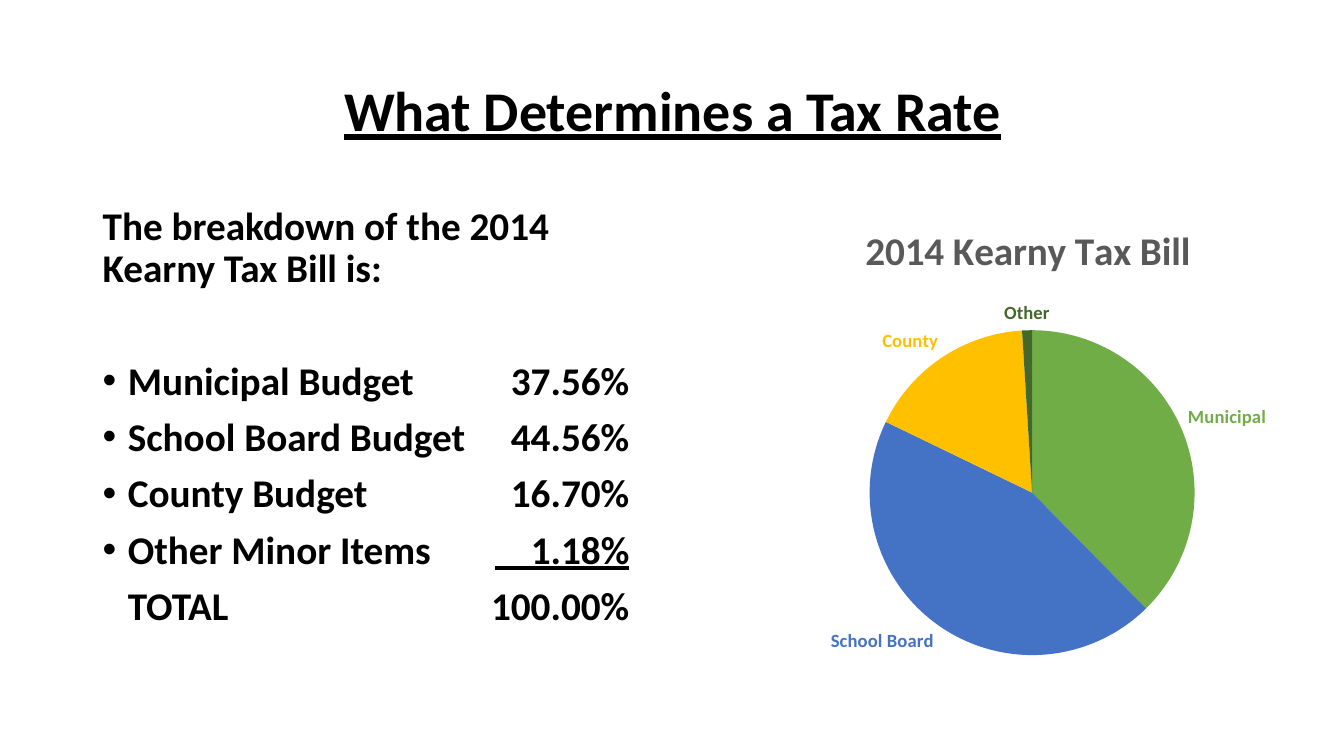
import pptx
import pptx.chart.data
import pptx.dml.color
import pptx.enum.chart
import pptx.enum.text
import pptx.oxml
import pptx.oxml.ns
import pptx.util
from pptx.util import Inches

FONT = "Calibri"
BUDGETS = [
    ("Municipal Budget", "Municipal", 37.56, "70AD47"),
    ("School Board Budget", "School Board", 44.56, "4472C4"),
    ("County Budget", "County", 16.70, "FFC000"),
    ("Other Minor Items", "Other", 1.18, "43682B"),
]
CHART_TITLE = "2014 Kearny Tax Bill"


def color(hex_string):
    return pptx.dml.color.RGBColor.from_string(hex_string)


class TaxSlide:
    """Holds the text style and the current slide."""

    def __init__(self, presentation):
        self.slide = presentation.slides.add_slide(presentation.slide_layouts[5])

    def style(self, font, size, hex_string="000000"):
        font.name = FONT
        font.size = pptx.util.Pt(size)
        font.bold = True
        font.color.rgb = color(hex_string)

    def title(self, text, left, top, width, height):
        heading = self.slide.shapes.title
        heading.left, heading.top = Inches(left), Inches(top)
        heading.width, heading.height = Inches(width), Inches(height)
        frame = heading.text_frame
        frame.text = text
        frame.vertical_anchor = pptx.enum.text.MSO_ANCHOR.MIDDLE
        line = frame.paragraphs[0]
        line.alignment = pptx.enum.text.PP_ALIGN.CENTER
        line.line_spacing = 0.9
        self.style(line.runs[0].font, 40)
        line.runs[0].font.underline = True

    def text_box(self, left, top, width, height):
        box = self.slide.shapes.add_textbox(
            Inches(left), Inches(top), Inches(width), Inches(height))
        box.text_frame.word_wrap = True
        return box.text_frame

    def line(self, paragraph, texts, space_before=10):
        paragraph.line_spacing = 0.9
        paragraph.space_before = pptx.util.Pt(space_before)
        for text in texts:
            run = paragraph.add_run()
            run.text = text
            self.style(run.font, 28)

    def indent(self, paragraph, right_edge, bullet=True):
        properties = paragraph._p.get_or_add_pPr()
        properties.set("marL", str(Inches(0.25)))
        namespace = pptx.oxml.ns.nsdecls("a")
        if bullet:
            properties.set("indent", str(Inches(-0.25)))
            properties.append(pptx.oxml.parse_xml(f'<a:buFont {namespace} typeface="Arial"/>'))
            properties.append(pptx.oxml.parse_xml(f'<a:buChar {namespace} char="•"/>'))
        properties.append(pptx.oxml.parse_xml(
            f'<a:tabLst {namespace}><a:tab pos="{Inches(right_edge)}" algn="r"/></a:tabLst>'))

    def pie(self, left, top, width, height):
        data = pptx.chart.data.CategoryChartData()
        data.categories = [category for _, category, _, _ in BUDGETS]
        data.add_series(CHART_TITLE, [round(share) for _, _, share, _ in BUDGETS])
        chart = self.slide.shapes.add_chart(
            pptx.enum.chart.XL_CHART_TYPE.PIE,
            Inches(left), Inches(top), Inches(width), Inches(height), data).chart
        chart.font.name = FONT
        chart.font.size = pptx.util.Pt(10)
        chart.has_legend = False
        chart.has_title = True
        chart.chart_title.text_frame.text = CHART_TITLE
        chart.chart_title.include_in_layout = False
        self.style(chart.chart_title.text_frame.paragraphs[0].runs[0].font, 28, "595959")
        plot = chart.plots[0]
        plot.vary_by_categories = True
        labels = plot.series[0].data_labels
        labels.show_value = False
        labels.show_category_name = True
        labels.position = pptx.enum.chart.XL_LABEL_POSITION.OUTSIDE_END
        for index, (_, _, _, hue) in enumerate(BUDGETS):
            point = plot.series[0].points[index]
            point.format.fill.solid()
            point.format.fill.fore_color.rgb = color(hue)
            self.style(point.data_label.font, 13.3, hue)
            point.data_label.position = pptx.enum.chart.XL_LABEL_POSITION.OUTSIDE_END
            label = point.data_label._dLbl
            label.find(pptx.oxml.ns.qn("c:showVal")).set("val", "0")
            label.find(pptx.oxml.ns.qn("c:showCatName")).set("val", "1")


def main():
    presentation = pptx.Presentation()
    presentation.slide_width = Inches(13.33)
    presentation.slide_height = Inches(7.5)
    tax = TaxSlide(presentation)
    tax.title("What Determines a Tax Rate", 0.92, 0.4, 11.5, 1.45)

    breakdown = tax.text_box(0.92, 2, 5.67, 4.76)
    tax.line(breakdown.paragraphs[0], ["The breakdown of the 2014 Kearny Tax Bill is:"], 0)
    right_edge = 5.37
    for index, (budget, _, share, _) in enumerate(BUDGETS):
        row = breakdown.add_paragraph()
        last = index == len(BUDGETS) - 1
        amount = f"{share:.2f}%"
        tax.line(row, [f"{budget}\t", f"{amount:>9}" if last else amount],
                 50 if index == 0 else 10)
        tax.indent(row, right_edge)
        row.runs[-1].font.underline = last
    total = breakdown.add_paragraph()
    tax.line(total, [f"TOTAL\t{sum(share for _, _, share, _ in BUDGETS):.2f}%"])
    tax.indent(total, right_edge, bullet=False)

    tax.pie(7.36, 2, 5.67, 4.76)
    presentation.save("out.pptx")


if __name__ == "__main__":
    main()
